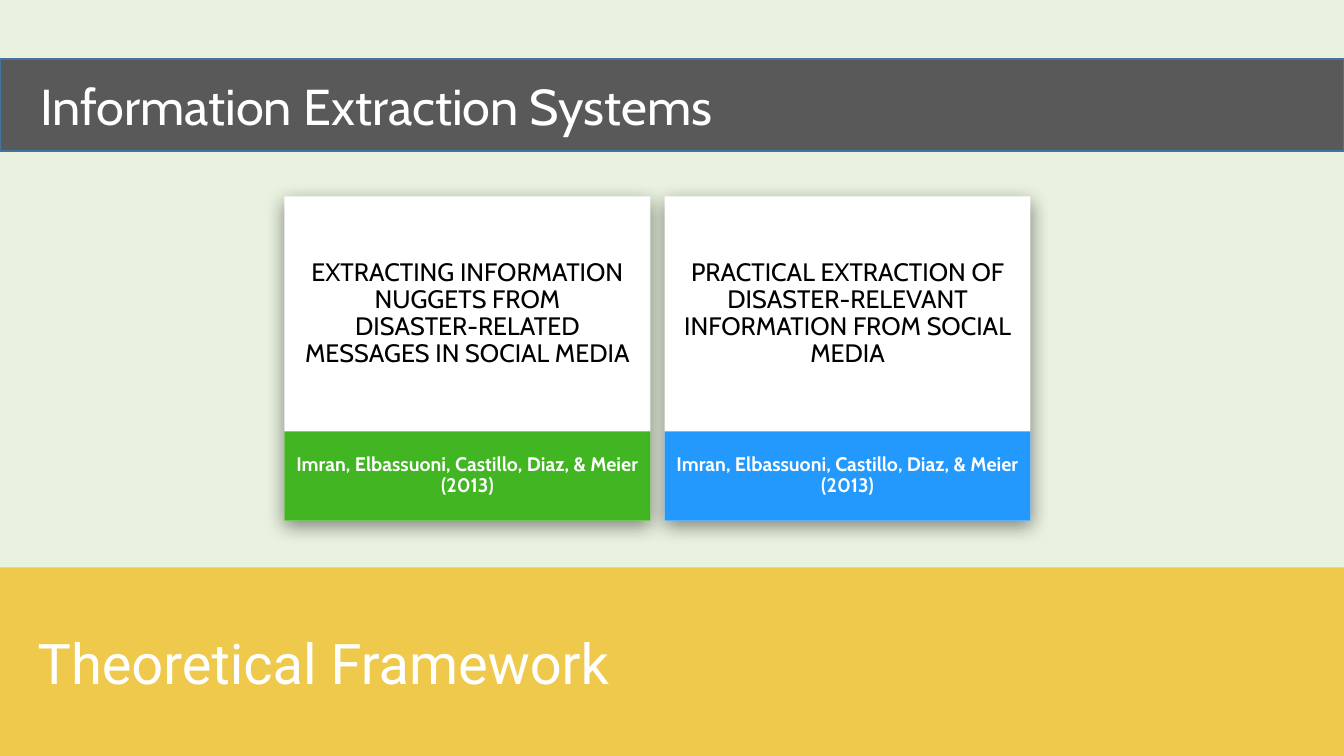
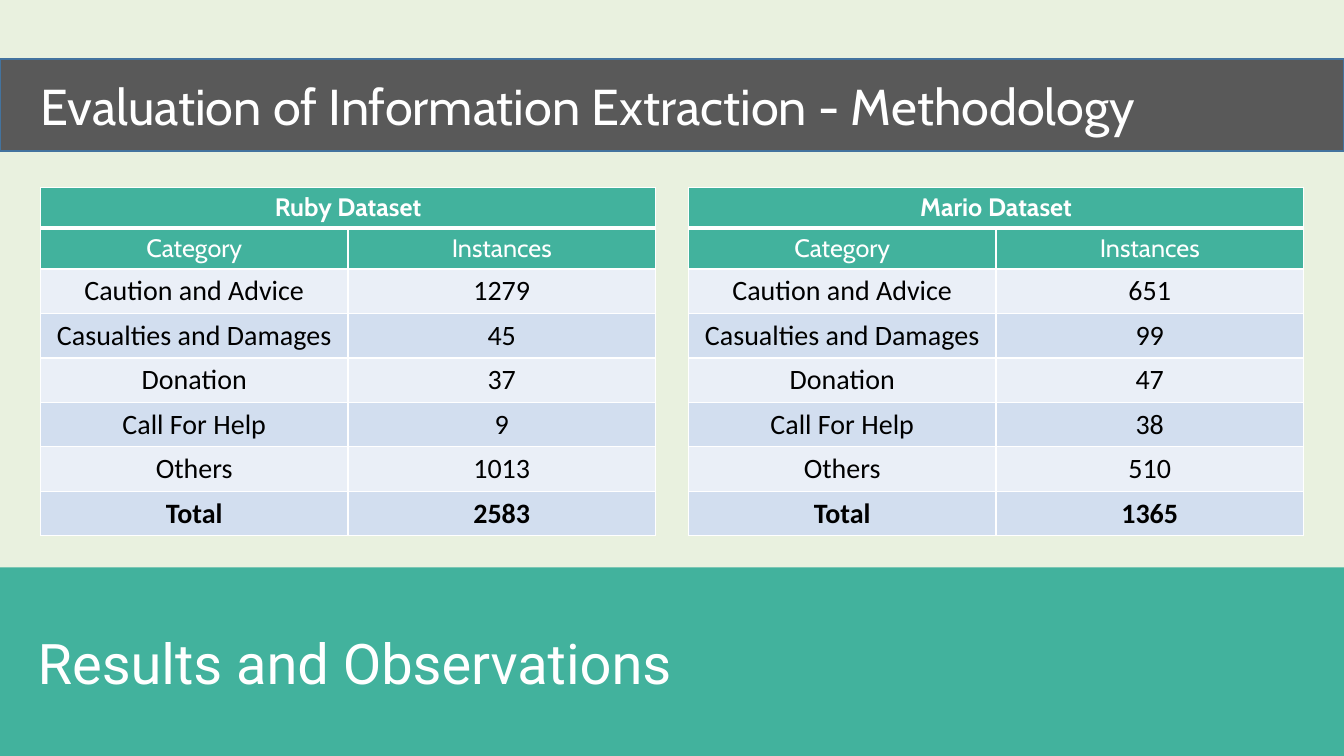
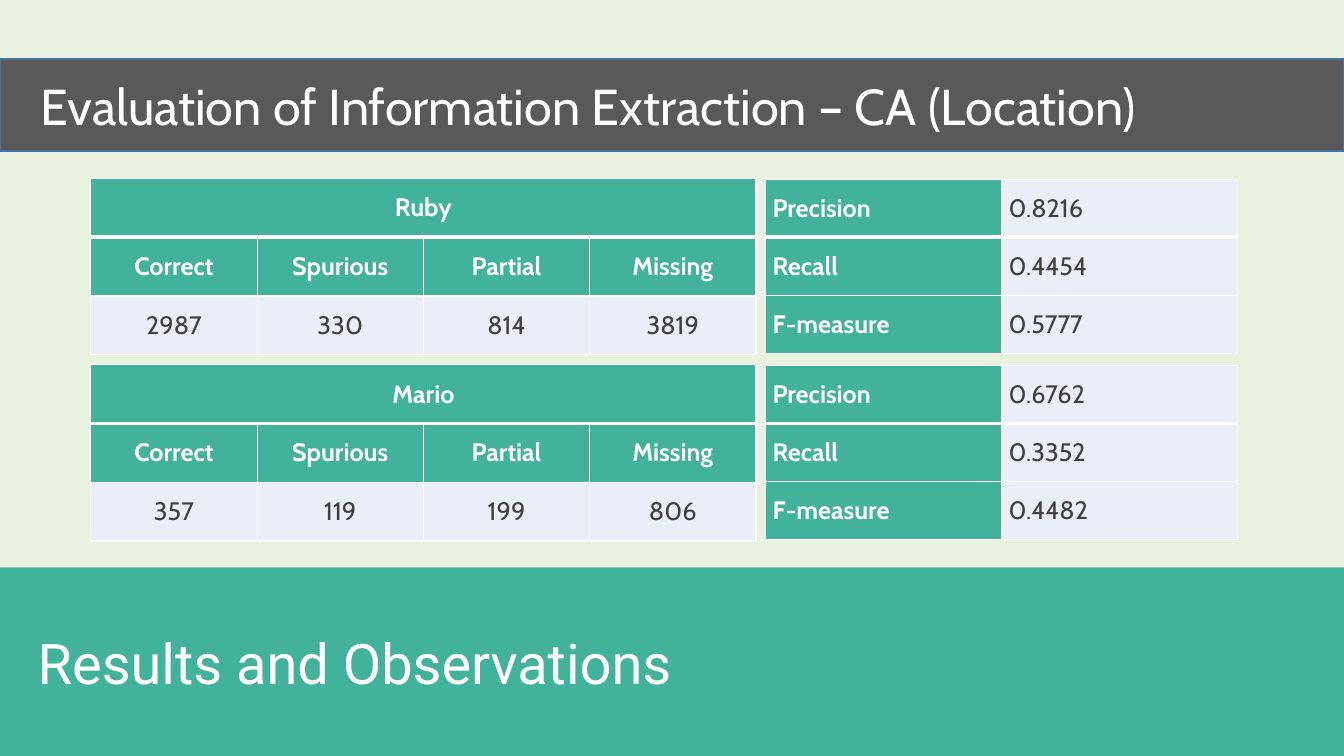
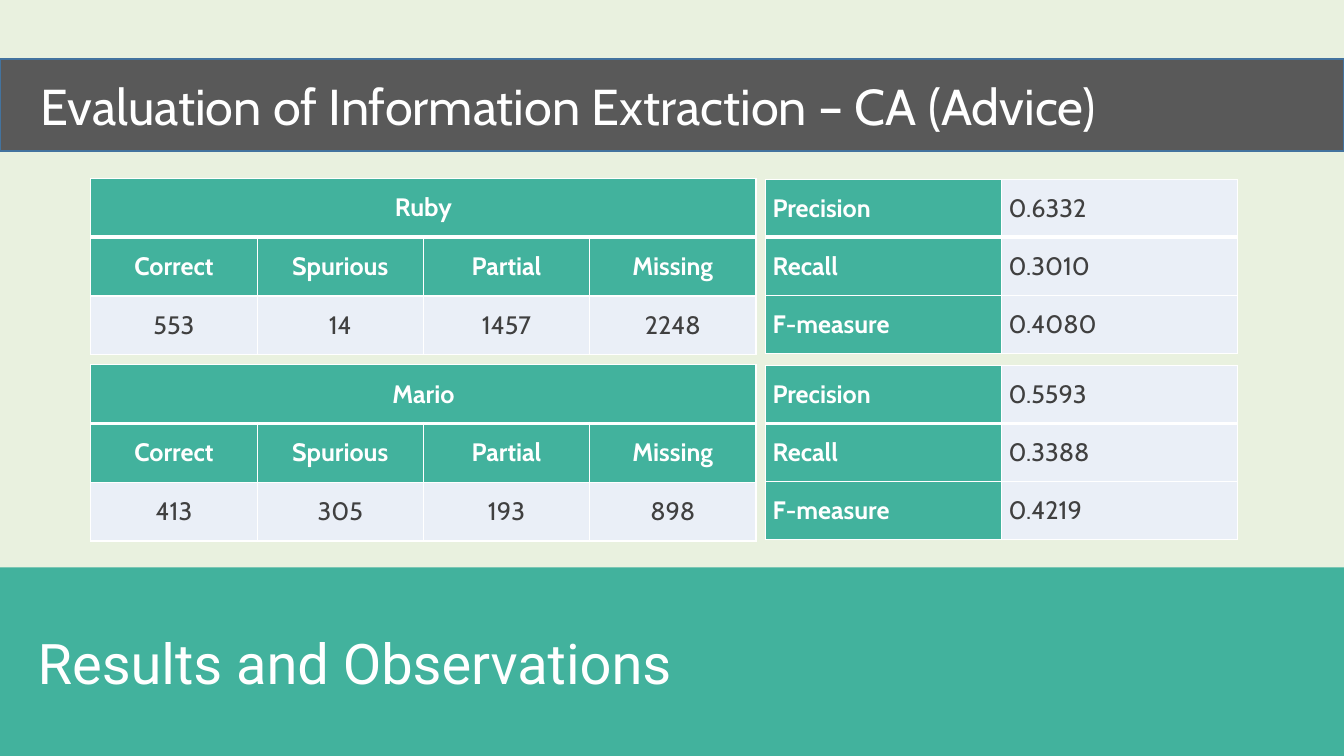
"""Build four slides on information extraction: framework cards and result tables."""
import lxml.etree
import pptx
import pptx.dml.color
import pptx.enum.shapes
import pptx.enum.text
import pptx.oxml.ns
import pptx.util

Cm = pptx.util.Cm
Pt = pptx.util.Pt
RGBColor = pptx.dml.color.RGBColor
ALIGN = pptx.enum.text.PP_ALIGN
ANCHOR = pptx.enum.text.MSO_ANCHOR
RECTANGLE = pptx.enum.shapes.MSO_SHAPE.RECTANGLE
qn = pptx.oxml.ns.qn

WHITE = RGBColor(0xFF, 0xFF, 0xFF)
BLACK = RGBColor(0x00, 0x00, 0x00)
PALE_GREEN = RGBColor(0xE9, 0xF1, 0xDF)
GREY = RGBColor(0x59, 0x59, 0x59)
DARK_GREY = RGBColor(0x40, 0x40, 0x40)
BAND_EDGE = RGBColor(0x43, 0x73, 0x9E)
YELLOW = RGBColor(0xEF, 0xC9, 0x4C)
TEAL = RGBColor(0x42, 0xB2, 0x9D)
GREEN = RGBColor(0x41, 0xB5, 0x22)
BLUE = RGBColor(0x23, 0x99, 0xFE)
LIGHT_ROW = RGBColor(0xEA, 0xEF, 0xF7)
DARK_ROW = RGBColor(0xD2, 0xDE, 0xEF)

SLIDE_WIDTH, SLIDE_HEIGHT = 33.87, 19.05
FRAMEWORK = ("Theoretical Framework", YELLOW)
RESULTS = ("Results and Observations", TEAL)

AUTHORS = "Imran, Elbassuoni, Castillo, Diaz, & Meier (2013)"
CARDS = [
    (["EXTRACTING INFORMATION NUGGETS FROM",
      "DISASTER-RELATED MESSAGES IN SOCIAL MEDIA"], GREEN),
    (["PRACTICAL EXTRACTION OF DISASTER-RELEVANT INFORMATION FROM SOCIAL MEDIA"], BLUE),
]

CATEGORIES = ["Caution and Advice", "Casualties and Damages", "Donation",
              "Call For Help", "Others", "Total"]
DATASETS = [
    ("Ruby Dataset", ["1279", "45", "37", "9", "1013", "2583"]),
    ("Mario Dataset", ["651", "99", "47", "38", "510", "1365"]),
]

COUNT_NAMES = ["Correct", "Spurious", "Partial", "Missing"]
METRIC_NAMES = ["Precision", "Recall", "F-measure"]
EVALUATIONS = {
    "Location": [
        ("Ruby", ["2987", "330", "814", "3819"], ["0.8216", "0.4454", "0.5777"]),
        ("Mario", ["357", "119", "199", "806"], ["0.6762", "0.3352", "0.4482"]),
    ],
    "Advice": [
        ("Ruby", ["553", "14", "1457", "2248"], ["0.6332", "0.3010", "0.4080"]),
        ("Mario", ["413", "305", "193", "898"], ["0.5593", "0.3388", "0.4219"]),
    ],
}

HEAD = (TEAL, "Cabin", 18, WHITE, True)
SUBHEAD = (TEAL, "Cabin", 18, WHITE, False)
VALUE = (LIGHT_ROW, "Cabin", 18, DARK_GREY, False)


def style_font(para, name, size, color, bold=False):
    font = para.font
    font.name = name
    font.size = Pt(size)
    font.color.rgb = color
    font.bold = bold


def add_block(shapes, left, top, width, height, fill, edge=None):
    block = shapes.add_shape(RECTANGLE, Cm(left), Cm(top), Cm(width), Cm(height))
    block.shadow.inherit = False
    block.fill.solid()
    block.fill.fore_color.rgb = fill
    if edge is None:
        block.line.fill.background()
    else:
        block.line.color.rgb = edge
        block.line.width = Pt(1)
    return block


def write_lines(box, lines, font, align, inset, spacing=None):
    frame = box.text_frame
    frame.word_wrap = True
    frame.vertical_anchor = ANCHOR.MIDDLE
    frame.margin_left = frame.margin_right = Cm(inset)
    for index, line in enumerate(lines):
        para = frame.add_paragraph() if index else frame.paragraphs[0]
        para.text = line
        para.alignment = align
        para.line_spacing = spacing
        style_font(para, *font)


def add_page(deck, title, section):
    page = deck.slides.add_slide(deck.slide_layouts[6])
    section_name, section_color = section
    footer = add_block(page.shapes, 0, 14.3, SLIDE_WIDTH, 4.75, section_color)
    write_lines(footer, [section_name], ("Roboto", 40, WHITE), ALIGN.LEFT, 0.95)
    band = add_block(page.shapes, 0, 1.49, SLIDE_WIDTH, 2.32, GREY, BAND_EDGE)
    write_lines(band, [title], ("Cabin", 36, WHITE), ALIGN.LEFT, 1.02)
    return page


def add_soft_shadow(shape):
    effects = shape._element.spPr.find(qn("a:effectLst"))
    shadow = lxml.etree.SubElement(
        effects, qn("a:outerShdw"), blurRad=str(Pt(14)), dist=str(Pt(4)),
        dir="5400000", algn="ctr", rotWithShape="0")
    color = lxml.etree.SubElement(shadow, qn("a:srgbClr"), val=str(BLACK))
    lxml.etree.SubElement(color, qn("a:alpha"), val="45000")


def add_card(page, left, heading, color):
    top, width, heading_height, caption_height = 4.95, 9.22, 5.92, 2.25
    shapes = page.shapes.add_group_shape().shapes
    panel = add_block(shapes, left, top, width, heading_height + caption_height, WHITE)
    add_soft_shadow(panel)
    caption = add_block(shapes, left, top + heading_height, width, caption_height, color)
    write_lines(caption, [AUTHORS], ("Cabin", 14, WHITE, True), ALIGN.CENTER, 0.25, 0.9)
    box = shapes.add_textbox(Cm(left), Cm(top), Cm(width), Cm(heading_height))
    write_lines(box, heading, ("Cabin", 18, BLACK), ALIGN.CENTER, 0.36, 0.9)


def set_borders(cell, row):
    widths = {"L": 1, "R": 1, "T": 3 if row == 1 else 1, "B": 3 if row == 0 else 1}
    for side, width in widths.items():
        line = lxml.etree.SubElement(
            cell._tc.get_or_add_tcPr(), qn(f"a:ln{side}"), w=str(Pt(width)))
        fill = lxml.etree.SubElement(line, qn("a:solidFill"))
        lxml.etree.SubElement(fill, qn("a:srgbClr"), val=str(WHITE))


def add_grid(page, left, top, column_width, heights, rows, styles,
             align=ALIGN.CENTER, inset=None, merge_top=True):
    columns = len(rows[-1])
    table = page.shapes.add_table(
        len(rows), columns, Cm(left), Cm(top),
        Cm(column_width * columns), Cm(sum(heights))).table
    table.first_row = table.horz_banding = False
    for column in table.columns:
        column.width = Cm(column_width)
    for r, (texts, row_styles) in enumerate(zip(rows, styles)):
        table.rows[r].height = Cm(heights[r])
        for c in range(columns):
            cell = table.cell(r, c)
            fill, *font = row_styles[c]
            set_borders(cell, r)
            cell.fill.solid()
            cell.fill.fore_color.rgb = fill
            if inset is not None:
                cell.vertical_anchor = ANCHOR.MIDDLE
                cell.margin_left = cell.margin_right = Cm(inset)
                cell.margin_top = cell.margin_bottom = Cm(inset)
            para = cell.text_frame.paragraphs[0]
            if c < len(texts):
                para.text = texts[c]
            para.alignment = align
            style_font(para, *font)
    if merge_top:
        table.cell(0, 0).merge(table.cell(0, columns - 1))


def add_dataset_page(deck):
    page = add_page(deck, "Evaluation of Information Extraction - Methodology", RESULTS)
    styles = [[HEAD] * 2, [SUBHEAD] * 2]
    for index, category in enumerate(CATEGORIES):
        fill = DARK_ROW if index % 2 else LIGHT_ROW
        styles.append([(fill, "Calibri", 20, BLACK, category == "Total")] * 2)
    heights = [1.03] * 2 + [1.12] * len(CATEGORIES)
    for index, (name, instances) in enumerate(DATASETS):
        rows = [[name], ["Category", "Instances"], *zip(CATEGORIES, instances)]
        add_grid(page, 1.02 + 16.33 * index, 4.72, 7.75, heights, rows, styles)


def add_evaluation_page(deck, topic, results):
    page = add_page(deck, f"Evaluation of Information Extraction – CA ({topic})", RESULTS)
    count_styles = [[HEAD] * 4, [HEAD] * 4, [VALUE] * 4]
    metric_styles = [[HEAD, VALUE]] * 3
    for index, (name, counts, metrics) in enumerate(results):
        top = 4.5 + 4.69 * index
        add_grid(page, 2.29, top, 4.19, [1.48] * 3,
                 [[name], COUNT_NAMES, counts], count_styles, inset=0.18)
        add_grid(page, 19.29, top + 0.02, 5.95, [1.46] * 3,
                 list(zip(METRIC_NAMES, metrics)), metric_styles,
                 align=ALIGN.LEFT, inset=0.18, merge_top=False)


def main():
    deck = pptx.Presentation()
    deck.slide_width, deck.slide_height = Cm(SLIDE_WIDTH), Cm(SLIDE_HEIGHT)
    backdrop = deck.slide_master.background.fill
    backdrop.solid()
    backdrop.fore_color.rgb = PALE_GREEN

    page = add_page(deck, "Information Extraction Systems", FRAMEWORK)
    for index, (heading, color) in enumerate(CARDS):
        add_card(page, 7.17 + 9.58 * index, heading, color)
    add_dataset_page(deck)
    for topic, results in EVALUATIONS.items():
        add_evaluation_page(deck, topic, results)
    deck.save("out.pptx")


if __name__ == "__main__":
    main()
